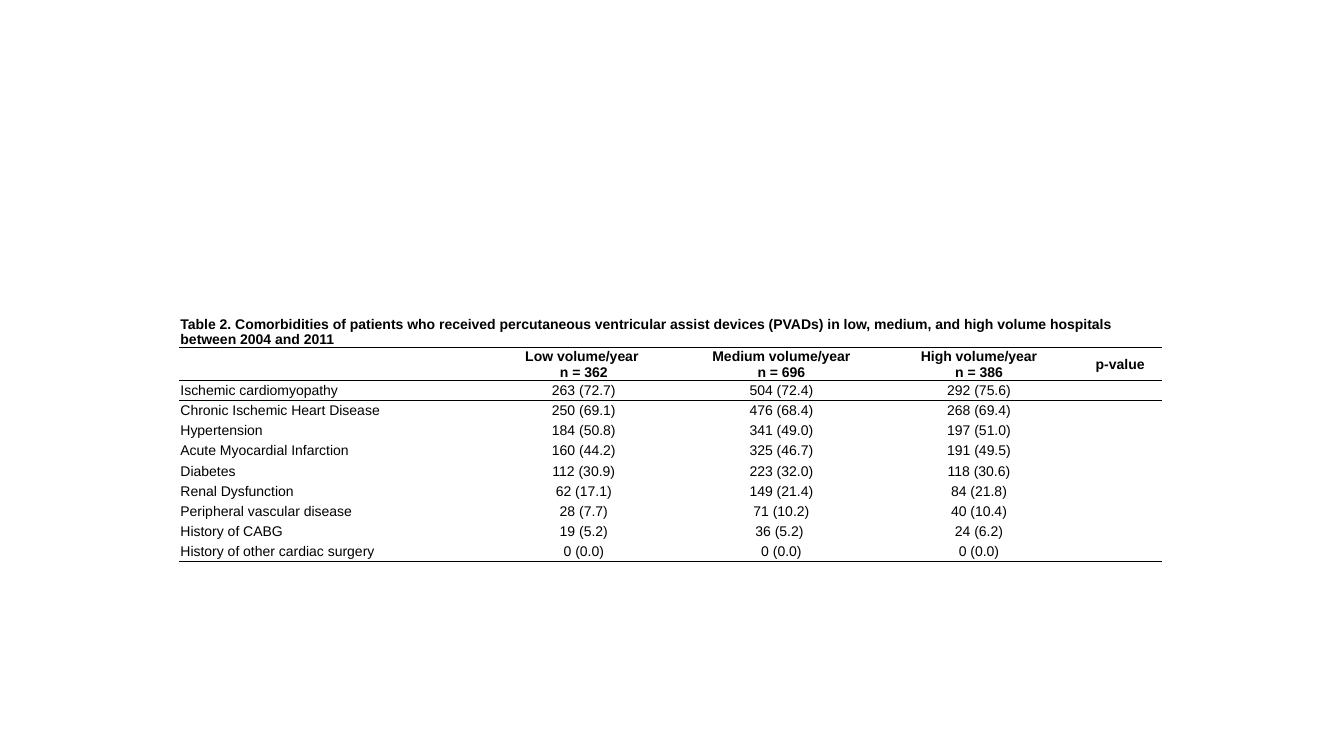
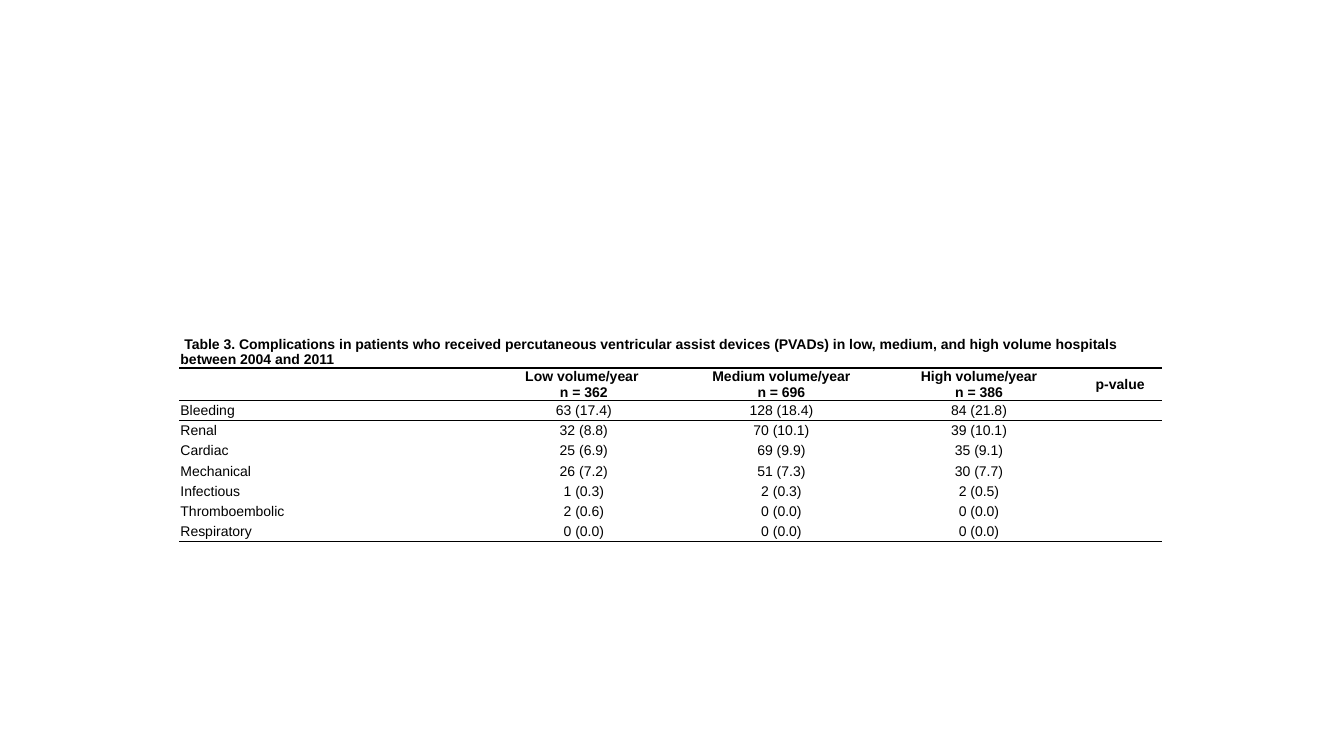
from dataclasses import dataclass
from typing import Optional

from lxml import etree
from pptx import Presentation
from pptx.dml.color import RGBColor
from pptx.enum.text import MSO_ANCHOR, PP_ALIGN
from pptx.oxml.ns import qn
from pptx.util import Inches, Pt

LEFT, CENTER = PP_ALIGN.LEFT, PP_ALIGN.CENTER
MIDDLE = MSO_ANCHOR.MIDDLE

# Shared style
BLACK = RGBColor(0x00, 0x00, 0x00)
FONT = "Arial"
TEXT_SIZE = Pt(10)
PLAIN_TABLE_STYLE = "{2D5ABB26-0587-4C30-8999-92F81FD0307C}"
TABLE_LEFT = 1.78
COLUMN_WIDTHS = (3.03, 1.96, 1.96, 1.96, 0.84)
HEADING_HEIGHT, ROW_HEIGHT = 0.32, 0.2
CELL_INSET = Inches(0.01)
THICK, THIN = Pt(1), Pt(0.5)
HEADINGS = (
    "",
    "Low volume/year \nn = 362",
    "Medium volume/year\nn = 696",
    "High volume/year\nn = 386",
    "p-value",
)
COHORT = (
    "patients who received percutaneous ventricular assist devices (PVADs) "
    "in low, medium, and high volume hospitals between 2004 and 2011"
)


@dataclass(frozen=True)
class VolumeTable:
    top: float
    caption: str
    rows: tuple[tuple[str, str, str, str], ...]


TABLES = (
    VolumeTable(3.13, f"Table 2. Comorbidities of {COHORT}", (
        ("Ischemic cardiomyopathy", "263 (72.7)", "504 (72.4)", "292 (75.6)"),
        ("Chronic Ischemic Heart Disease", "250 (69.1)", "476 (68.4)", "268 (69.4)"),
        ("Hypertension", "184 (50.8)", "341 (49.0)", "197 (51.0)"),
        ("Acute Myocardial Infarction", "160 (44.2)", "325 (46.7)", "191 (49.5)"),
        ("Diabetes", "112 (30.9)", "223 (32.0)", "118 (30.6)"),
        ("Renal Dysfunction", "62 (17.1)", "149 (21.4)", "84 (21.8)"),
        ("Peripheral vascular disease", "28 (7.7)", "71 (10.2)", "40 (10.4)"),
        ("History of CABG", "19 (5.2)", "36 (5.2) ", "24 (6.2)"),
        ("History of other cardiac surgery", "0 (0.0)", "0 (0.0)", "0 (0.0)"),
    )),
    VolumeTable(3.33, f" Table 3. Complications in {COHORT}", (
        ("Bleeding", "63 (17.4)", "128 (18.4)", "84 (21.8)"),
        ("Renal", "32 (8.8)", "70 (10.1)", "39 (10.1)"),
        ("Cardiac", "25 (6.9)", "69 (9.9)", "35 (9.1)"),
        ("Mechanical ", "26 (7.2)", "51 (7.3)", "30 (7.7)"),
        ("Infectious", "1 (0.3)", "2 (0.3)", "2 (0.5)"),
        ("Thromboembolic", "2 (0.6)", "0 (0.0)", "0 (0.0)"),
        ("Respiratory", "0 (0.0)", "0 (0.0)", "0 (0.0)"),
    )),
)


def write_cell(cell, text: str, align: PP_ALIGN, bold: bool) -> None:
    """Set the text of a cell; an empty cell keeps the small text size."""
    cell.vertical_anchor = MIDDLE
    cell.margin_left = cell.margin_right = cell.margin_top = CELL_INSET
    cell.margin_bottom = 0
    para = cell.text_frame.paragraphs[0]
    para.alignment = align
    if not text:
        etree.SubElement(para._p, qn("a:endParaRPr"), sz="1000")
        return
    for index, line in enumerate(text.split("\n")):
        if index:
            para.add_line_break()
        span = para.add_run()
        span.text = line
        span.font.name = FONT
        span.font.size = TEXT_SIZE
        span.font.bold = bold
        span.font.color.rgb = BLACK


def rule_cell(cell, above: Optional[Pt], below: Optional[Pt]) -> None:
    """Draw the horizontal rules of a cell and clear its fill."""
    properties = cell._tc.get_or_add_tcPr()
    for tag, width in (("a:lnT", above), ("a:lnB", below)):
        if width is not None:
            line = etree.SubElement(properties, qn(tag), w=str(int(width)))
            fill = etree.SubElement(line, qn("a:solidFill"))
            etree.SubElement(fill, qn("a:srgbClr"), val=str(BLACK))
    cell.fill.background()


def add_volume_table(page, content: VolumeTable) -> None:
    """Add a captioned table with rules around its headings and at its end."""
    blank = ("",) * (len(COLUMN_WIDTHS) - 1)
    grid = [(content.caption, *blank), HEADINGS]
    grid += [(*row, "") for row in content.rows]
    heights = [HEADING_HEIGHT] * 2 + [ROW_HEIGHT] * len(content.rows)
    rules = {0: THICK, 1: THIN, len(grid) - 1: THICK}

    frame = page.shapes.add_table(
        len(grid), len(COLUMN_WIDTHS), Inches(TABLE_LEFT), Inches(content.top),
        Inches(sum(COLUMN_WIDTHS)), Inches(sum(heights)),
    )
    table = frame.table
    table.first_row = table.horz_banding = False
    table._tbl.tblPr.find(qn("a:tableStyleId")).text = PLAIN_TABLE_STYLE
    for column, width in zip(table.columns, COLUMN_WIDTHS):
        column.width = Inches(width)

    for row, (texts, height) in enumerate(zip(grid, heights)):
        table.rows[row].height = Inches(height)
        for column, text in enumerate(texts):
            cell = table.cell(row, column)
            write_cell(cell, text, CENTER if column else LEFT, bold=row < 2)
            rule_cell(cell, rules.get(row - 1), rules.get(row))
    table.cell(0, 0).merge(table.cell(0, len(COLUMN_WIDTHS) - 1))


# Build the deck
deck = Presentation()
deck.slide_width, deck.slide_height = Inches(13.33), Inches(7.5)
blank_layout = deck.slide_layouts[6]
for volume_table in TABLES:
    add_volume_table(deck.slides.add_slide(blank_layout), volume_table)
deck.save("out.pptx")
